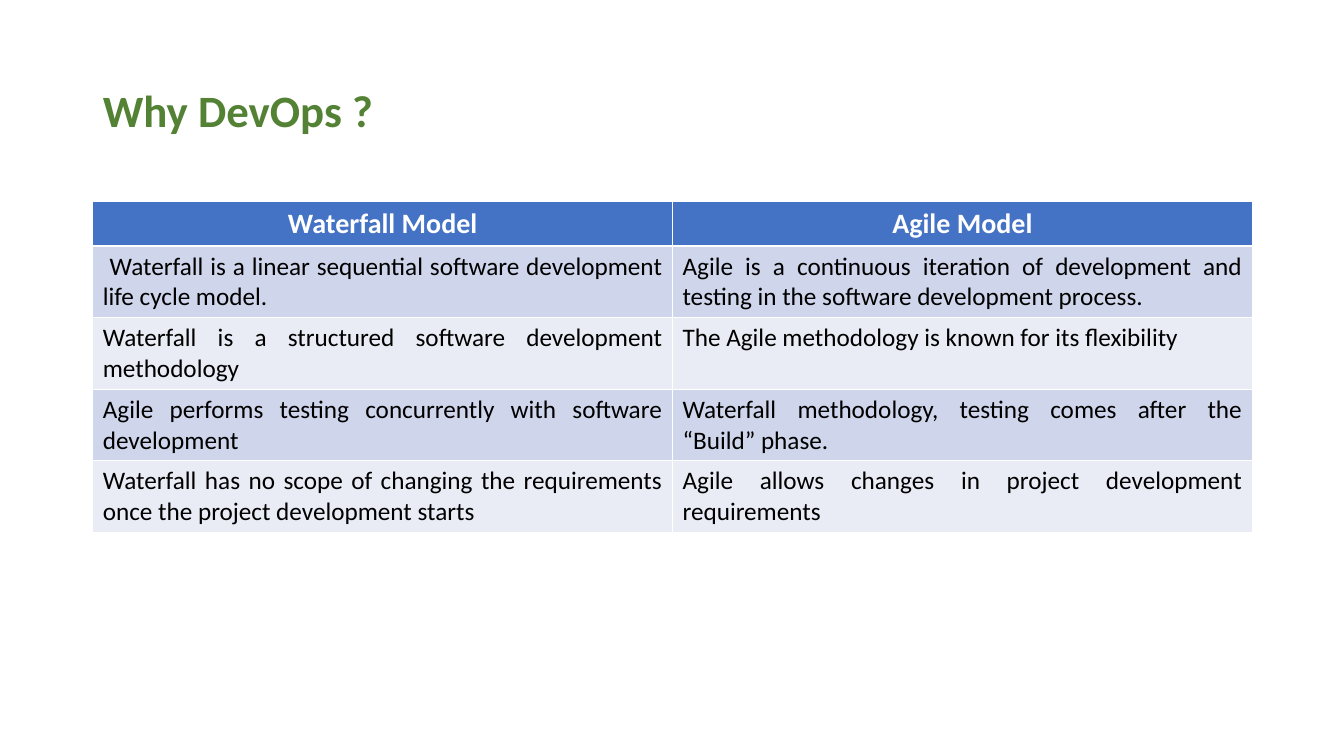
from pptx import Presentation
from pptx.dml.color import RGBColor
from pptx.enum import text
from pptx.util import Inches, Pt

TITLE = "Why DevOps ?"
ROWS = [
    ("Waterfall Model", "Agile Model"),
    (" Waterfall is a linear sequential software development life cycle model.",
     "Agile is a continuous iteration of development and testing in the software development process."),
    ("Waterfall is a structured software development methodology",
     "The Agile methodology is known for its flexibility"),
    ("Agile performs testing concurrently with software development",
     "Waterfall methodology, testing comes after the “Build” phase."),
    ("Waterfall has no scope of changing the requirements once the project development starts",
     "Agile allows changes in project development requirements"),
]

FONT = "Calibri"
GREEN = RGBColor(0x54, 0x82, 0x35)
BLUE = RGBColor(0x44, 0x72, 0xC4)
BAND_DARK = RGBColor(0xCF, 0xD5, 0xEA)
BAND_LIGHT = RGBColor(0xE9, 0xEB, 0xF5)
WHITE = RGBColor(0xFF, 0xFF, 0xFF)
BLACK = RGBColor(0, 0, 0)

LEFT, WIDTH = 0.92, 11.5
TITLE_TOP, TITLE_HEIGHT = 0.4, 1.45
TABLE_TOP = 2
HEADER_HEIGHT, BODY_HEIGHT = 0.43, 0.71


def format_paragraph(paragraph, size, color, bold, alignment):
    paragraph.alignment = alignment
    for run in paragraph.runs:
        run.font.name = FONT
        run.font.size = Pt(size)
        run.font.color.rgb = color
        run.font.bold = bold


def add_title(slide):
    title = slide.shapes.title
    title.left, title.top = Inches(LEFT), Inches(TITLE_TOP)
    title.width, title.height = Inches(WIDTH), Inches(TITLE_HEIGHT)
    title.text_frame.text = TITLE
    title.text_frame.vertical_anchor = text.MSO_ANCHOR.MIDDLE
    paragraph = title.text_frame.paragraphs[0]
    paragraph.line_spacing = 0.9
    format_paragraph(paragraph, 32, GREEN, True, text.PP_ALIGN.LEFT)


def add_comparison(slide):
    heights = [HEADER_HEIGHT] + [BODY_HEIGHT] * (len(ROWS) - 1)
    table = slide.shapes.add_table(
        len(ROWS), len(ROWS[0]), Inches(LEFT), Inches(TABLE_TOP),
        Inches(WIDTH), Inches(sum(heights))).table
    for row_index, (row, height) in enumerate(zip(ROWS, heights)):
        table.rows[row_index].height = Inches(height)
        header = row_index == 0
        fill_color = BLUE if header else (BAND_LIGHT, BAND_DARK)[row_index % 2]
        for column_index, wording in enumerate(row):
            cell = table.cell(row_index, column_index)
            cell.fill.solid()
            cell.fill.fore_color.rgb = fill_color
            cell.text_frame.text = wording
            paragraph = cell.text_frame.paragraphs[0]
            if header:
                format_paragraph(paragraph, 20, WHITE, True, text.PP_ALIGN.CENTER)
            else:
                format_paragraph(paragraph, 18, BLACK, False, text.PP_ALIGN.JUSTIFY)


def main():
    presentation = Presentation()
    presentation.slide_width, presentation.slide_height = Inches(13.33), Inches(7.5)
    slide = presentation.slides.add_slide(presentation.slide_layouts[5])
    add_title(slide)
    add_comparison(slide)
    presentation.save("out.pptx")


if __name__ == "__main__":
    main()
